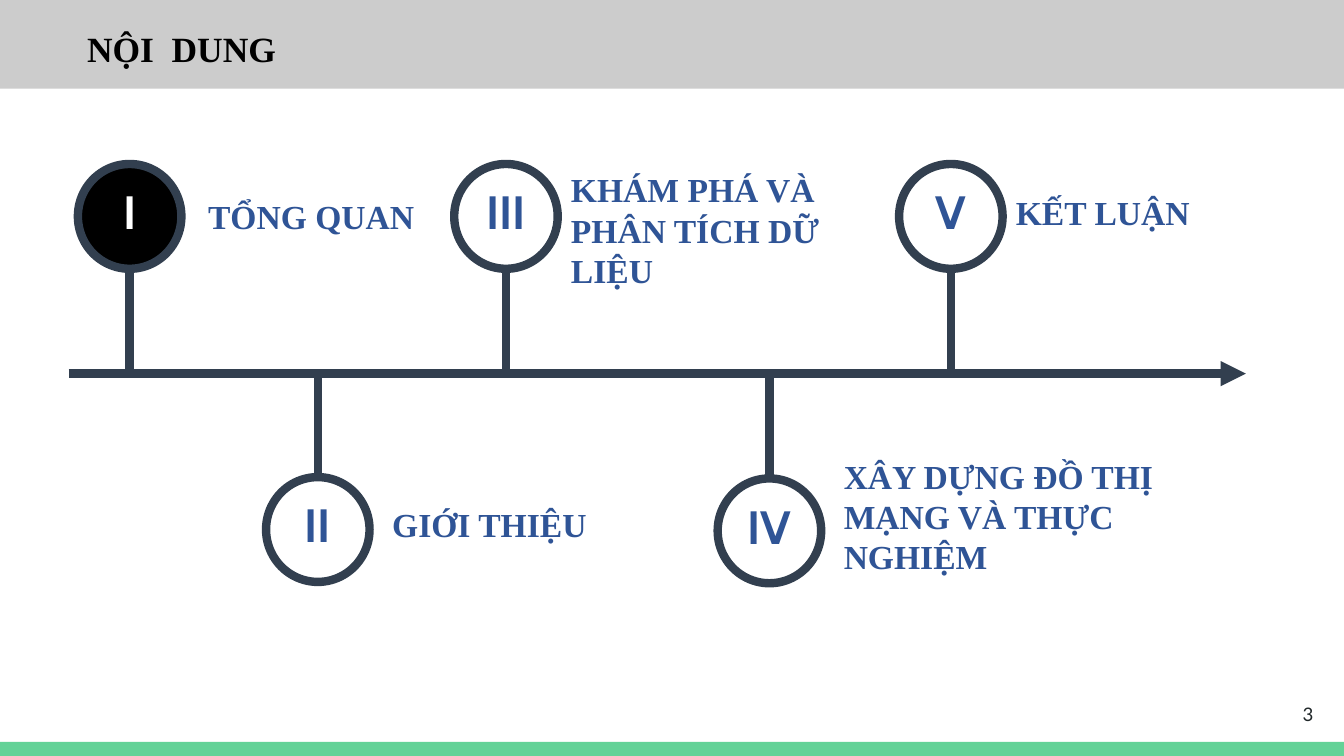
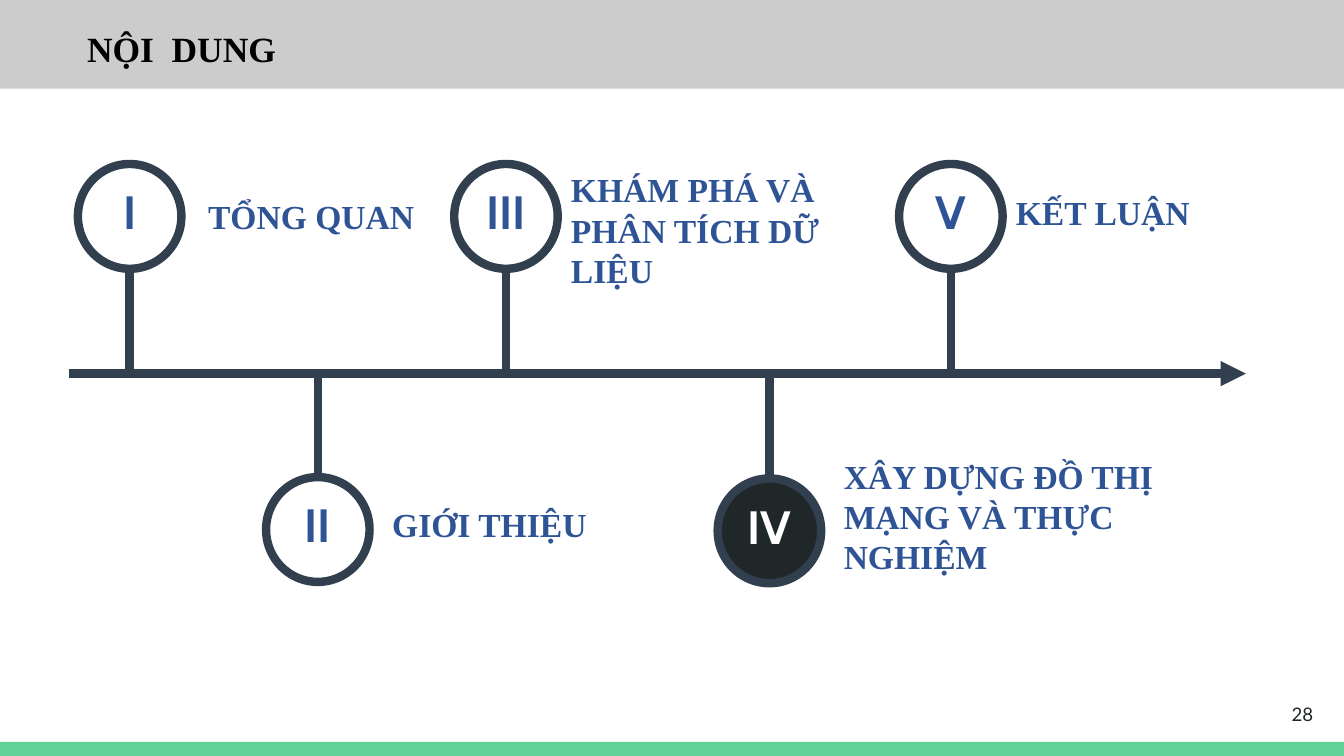
from dataclasses import dataclass
from pptx import Presentation
from pptx.dml.color import RGBColor
from pptx.enum.shapes import MSO_CONNECTOR as Connector, MSO_SHAPE as Shape
from pptx.enum.text import MSO_ANCHOR as Anchor, MSO_AUTO_SIZE as AutoSize, PP_ALIGN as Align
from pptx.oxml.ns import qn
from pptx.util import Inches, Pt
from lxml.etree import SubElement

WHITE, BLACK, INK = "FFFFFF", "000000", "202729"
SLATE, BLUE, GREY, GREEN = "323F4F", "2F5496", "CCCCCC", "63D297"
SERIF, DIGITS, NUMERALS = "Times New Roman", "Lato", "Cabin"
PAGE_WIDTH = 10
PAGE_HEIGHT = PAGE_WIDTH * 9 / 16
TIMELINE = (0.51, 1.22, 8.76, 3.12)
AXIS_DROP = 1.56
CIRCLE_WIDTH, CIRCLE_HEIGHT = 0.77, 0.78
LINE_WEIGHT = 4.5


@dataclass
class Stop:
    numeral: str
    label: str
    left: float
    top: float
    label_shift: tuple
    label_size: tuple


UPPER, LOWER = 0, 2.33
STOPS = [
    Stop("I", "TỔNG QUAN", 0.07, UPPER, (0.87, 0.19), (2.68, 0.4)),
    Stop("II", "GIỚI THIỆU", 1.47, LOWER, (0.84, 0.15), (2.77, 0.4)),
    Stop("III", "KHÁM PHÁ VÀ PHÂN TÍCH DỮ LIỆU", 2.87, UPPER, (0.77, -0.01), (2.12, 1.01)),
    Stop("IV", "XÂY DỰNG ĐỒ THỊ MẠNG VÀ THỰC NGHIỆM", 4.83, LOWER + 0.01, (0.84, -0.22), (2.77, 1.01)),
    Stop("V", "KẾT LUẬN", 6.18, UPPER, (0.77, 0.16), (2.12, 0.4)),
]


def color(value):
    return RGBColor.from_string(value)


def write(frame, text, font, size, tint, bold=True, align=Align.LEFT, margins=(0.1, 0.05)):
    frame.margin_left = frame.margin_right = Inches(margins[0])
    frame.margin_top = frame.margin_bottom = Inches(margins[1])
    para = frame.paragraphs[0]
    para.alignment = align
    span = para.add_run()
    span.text = text
    span.font.name = font
    span.font.size = Pt(size)
    span.font.bold = bold
    span.font.color.rgb = color(tint)
    return para


def add_text(page, box, *text_style, **options):
    frame = page.shapes.add_textbox(*map(Inches, box)).text_frame
    frame.word_wrap = True
    write(frame, *text_style, **options)
    return frame


def add_filled(page, kind, box, fill, outline=None):
    shape = page.shapes.add_shape(kind, *map(Inches, box))
    shape.shadow.inherit = False
    shape.fill.solid()
    shape.fill.fore_color.rgb = color(fill)
    if outline:
        shape.line.color.rgb = color(outline)
        shape.line.width = Pt(LINE_WEIGHT)
    else:
        shape.line.fill.background()
    return shape


def add_line(page, start, end, arrow=False):
    ends = [Inches(value) for value in (*start, *end)]
    line = page.shapes.add_connector(Connector.STRAIGHT, *ends)
    line.line.color.rgb = color(SLATE)
    line.line.width = Pt(LINE_WEIGHT)
    properties = line._element.spPr
    if arrow:
        SubElement(properties.find(qn("a:ln")), qn("a:tailEnd"), type="triangle")
    SubElement(properties, qn("a:effectLst"))


def add_stop(page, box, stop, active_fill):
    left, top, _, _ = box
    x, y = left + stop.left, top + stop.top
    axis = top + AXIS_DROP
    circle = add_filled(page, Shape.OVAL, (x, y, CIRCLE_WIDTH, CIRCLE_HEIGHT),
                        active_fill or WHITE, SLATE)
    frame = circle.text_frame
    frame.word_wrap = False
    frame.vertical_anchor = Anchor.MIDDLE
    para = write(frame, stop.numeral, NUMERALS, 25,
                 WHITE if active_fill else BLUE, align=Align.CENTER)
    para.line_spacing = 0.8

    center = x + CIRCLE_WIDTH / 2
    edge = y + CIRCLE_HEIGHT if y < axis else y
    add_line(page, (center, edge), (center, axis))

    shift_x, shift_y = stop.label_shift
    label = add_text(page, (x + shift_x, y + shift_y, *stop.label_size),
                     stop.label, SERIF, 18, BLUE)
    label.auto_size = AutoSize.SHAPE_TO_FIT_TEXT


def add_timeline(page, box, active, active_fill):
    left, top, width, _ = box
    axis = top + AXIS_DROP
    add_line(page, (left, axis), (left + width, axis), arrow=True)
    for stop in STOPS:
        add_stop(page, box, stop, active_fill if stop.numeral == active else None)


def add_header(page, box):
    left, top, _, _ = box
    add_filled(page, Shape.RECTANGLE, box, GREY)
    title = add_text(page, (left + 0.55, top + 0.18, 6.05, 0.42), "NỘI  DUNG", SERIF, 19, BLACK)
    title.auto_size = AutoSize.SHAPE_TO_FIT_TEXT


def add_footer(page, box, number):
    left, top, width, _ = box
    add_filled(page, Shape.RECTANGLE, box, GREEN)
    frame = add_text(page, (left + width - 0.73, top - 0.42, 0.6, 0.43), str(number),
                     DIGITS, 10, INK, bold=False, align=Align.RIGHT, margins=(0.1, 0.1))
    frame.vertical_anchor = Anchor.MIDDLE


def add_agenda(deck, number, active, active_fill):
    page = deck.slides.add_slide(deck.slide_layouts[6])
    page.background.fill.solid()
    page.background.fill.fore_color.rgb = color(WHITE)
    add_timeline(page, TIMELINE, active, active_fill)
    add_header(page, (0, -0.03, PAGE_WIDTH, 0.69))
    add_footer(page, (0, 5.52, PAGE_WIDTH, 0.11), number)


def main():
    deck = Presentation()
    deck.slide_width = Inches(PAGE_WIDTH)
    deck.slide_height = Inches(PAGE_HEIGHT)
    add_agenda(deck, 3, "I", BLACK)
    add_agenda(deck, 28, "IV", INK)
    deck.save("out.pptx")


if __name__ == "__main__":
    main()
